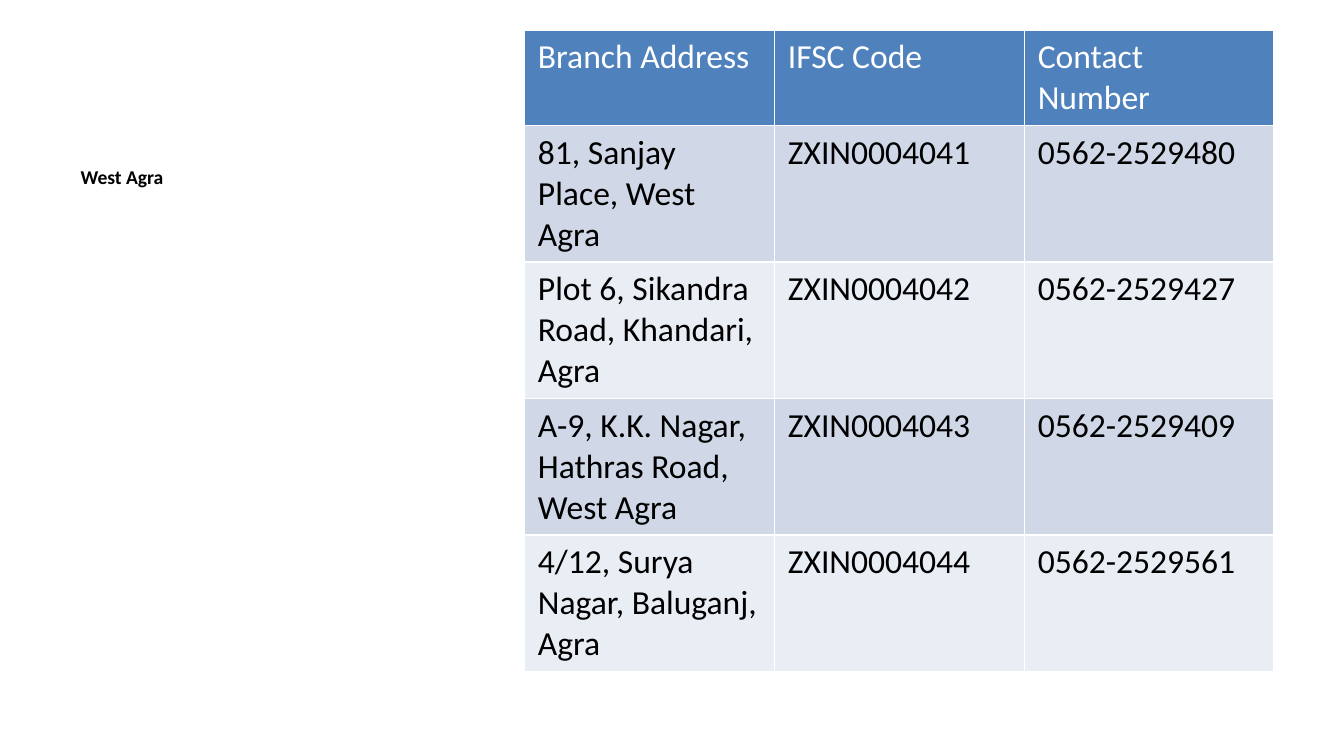
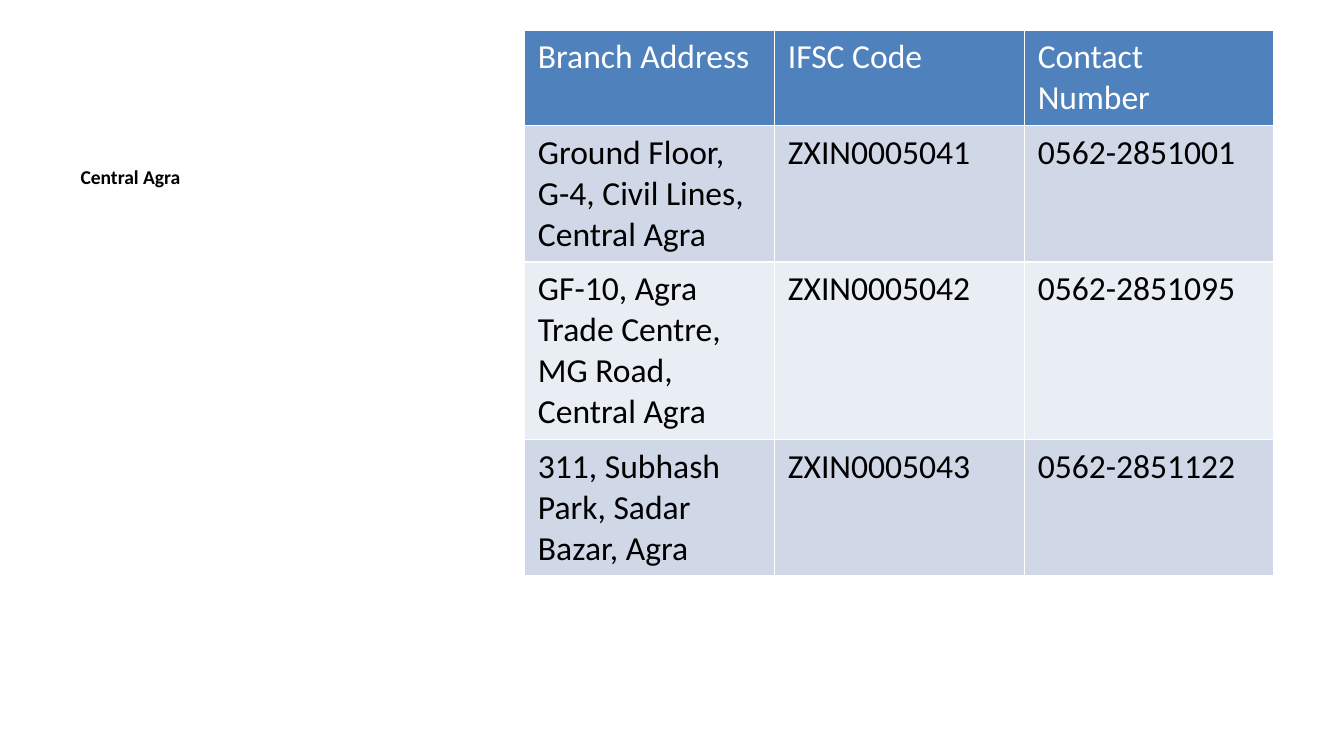
from pptx import Presentation
from pptx.dml.color import RGBColor
from pptx.enum.text import MSO_ANCHOR, PP_ALIGN
from pptx.util import Pt

HEADER = ("Branch Address", "IFSC Code", "Contact Number")
AREAS = {
    "West Agra": [
        ("81, Sanjay Place, West Agra", "ZXIN0004041", "0562-2529480"),
        ("Plot 6, Sikandra Road, Khandari, Agra", "ZXIN0004042", "0562-2529427"),
        ("A-9, K.K. Nagar, Hathras Road, West Agra", "ZXIN0004043", "0562-2529409"),
        ("4/12, Surya Nagar, Baluganj, Agra", "ZXIN0004044", "0562-2529561"),
    ],
    "Central Agra": [
        ("Ground Floor, G-4, Civil Lines, Central Agra", "ZXIN0005041", "0562-2851001"),
        ("GF-10, Agra Trade Centre, MG Road, Central Agra", "ZXIN0005042", "0562-2851095"),
        ("311, Subhash Park, Sadar Bazar, Agra", "ZXIN0005043", "0562-2851122"),
    ],
}

FONT = "Calibri"
WHITE = RGBColor(0xFF, 0xFF, 0xFF)
BLACK = RGBColor(0x00, 0x00, 0x00)
HEADER_BLUE = RGBColor(0x4F, 0x81, 0xBD)
BANDS = (RGBColor(0xD0, 0xD8, 0xE8), RGBColor(0xE9, 0xED, 0xF4))

COLUMN_WIDTH = 133.9
HEADER_HEIGHT = 51
BRANCH_HEIGHT = 73


def style_font(font, size, color, bold):
    font.name = FONT
    font.size = Pt(size)
    font.color.rgb = color
    font.bold = bold


def add_area_name(slide, area):
    area_name = slide.shapes.title
    area_name.left, area_name.top = Pt(36), Pt(85)
    area_name.width, area_name.height = Pt(237), Pt(277)
    frame = area_name.text_frame
    frame.text = area
    frame.word_wrap = True
    frame.vertical_anchor = MSO_ANCHOR.TOP
    paragraph = frame.paragraphs[0]
    paragraph.alignment = PP_ALIGN.LEFT
    style_font(paragraph.runs[0].font, 10.5, BLACK, True)


def fill_row(table, index, texts, fill, color):
    for cell, text in zip(table.rows[index].cells, texts):
        cell.fill.solid()
        cell.fill.fore_color.rgb = fill
        cell.text_frame.text = text
        style_font(cell.text_frame.paragraphs[0].runs[0].font, 18, color, False)


def add_branches(slide, branches):
    columns = len(HEADER)
    height = HEADER_HEIGHT + BRANCH_HEIGHT * len(branches)
    table = slide.shapes.add_table(
        len(branches) + 1, columns, Pt(281), Pt(16), Pt(COLUMN_WIDTH * columns), Pt(height)
    ).table
    for column in table.columns:
        column.width = Pt(COLUMN_WIDTH)
    table.rows[0].height = Pt(HEADER_HEIGHT)
    fill_row(table, 0, HEADER, HEADER_BLUE, WHITE)
    for index, branch in enumerate(branches, 1):
        table.rows[index].height = Pt(BRANCH_HEIGHT)
        fill_row(table, index, branch, BANDS[(index - 1) % 2], BLACK)


def main():
    deck = Presentation()
    deck.slide_width, deck.slide_height = Pt(720), Pt(405)
    title_only = deck.slide_layouts[5]
    for area, branches in AREAS.items():
        slide = deck.slides.add_slide(title_only)
        add_area_name(slide, area)
        add_branches(slide, branches)
    deck.save("out.pptx")


if __name__ == "__main__":
    main()
